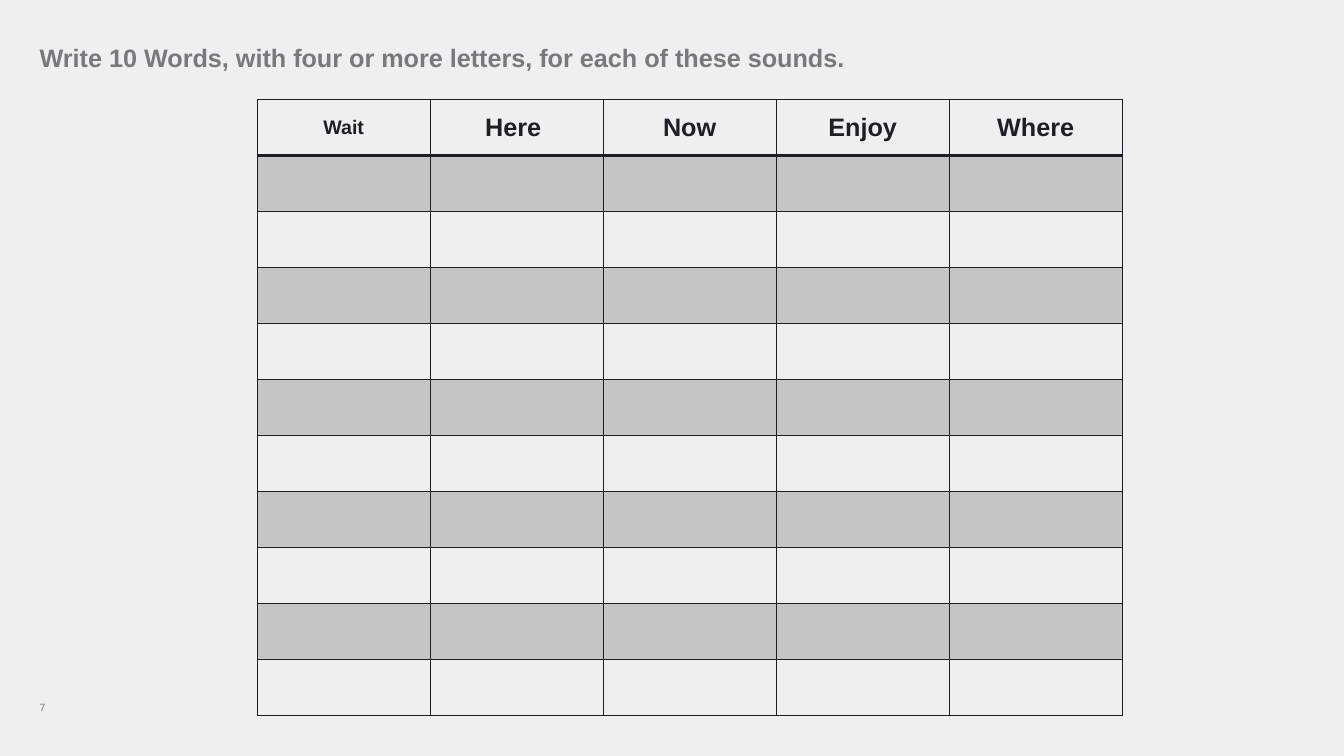
from lxml.etree import SubElement
from pptx import Presentation
from pptx.dml.color import RGBColor
from pptx.enum.text import MSO_ANCHOR, PP_ALIGN
from pptx.oxml.ns import qn
from pptx.util import Cm, Pt

PAPER = RGBColor(0xEE, 0xEF, 0xEE)
GREY = RGBColor(0x7A, 0x77, 0x7E)
INK = RGBColor(0x20, 0x1D, 0x28)
RULE = RGBColor(0x21, 0x1D, 0x28)

SOUNDS = [("Wait", 14), ("Here ", 18), ("Now", 18), ("Enjoy", 18), ("Where", 18)]
WORDS_PER_SOUND = 10
COLUMN_WIDTH, ROW_HEIGHT = 4.36, 1.41
BAND_OPACITY = 20


class Worksheet:
    """Holds the style and the current slide."""

    font_name = "Arial"

    def __init__(self, slide):
        self.slide = slide
        background = slide.background.fill
        background.solid()
        background.fore_color.rgb = PAPER

    def style_font(self, font, color, **values):
        for key, value in {"name": self.font_name, **values}.items():
            setattr(font, key, value)
        font.color.rgb = color

    def add_text(self, text, left, top, width, height, line_spacing=1.0, **values):
        box = self.slide.shapes.add_textbox(Cm(left), Cm(top), Cm(width), Cm(height))
        frame_format = {
            "word_wrap": True, "vertical_anchor": MSO_ANCHOR.MIDDLE,
            "margin_left": 0, "margin_right": 0, "margin_top": 0, "margin_bottom": 0,
        }
        for key, value in frame_format.items():
            setattr(box.text_frame, key, value)
        paragraph = box.text_frame.paragraphs[0]
        paragraph.line_spacing = line_spacing
        run = paragraph.add_run()
        run.text = text
        self.style_font(run.font, GREY, **values)

    def add_borders(self, cell, **widths):
        properties = cell._tc.get_or_add_tcPr()
        for side, points in widths.items():
            line = SubElement(properties, qn(f"a:ln{side}"), w=str(Pt(points)))
            solid = SubElement(line, qn("a:solidFill"))
            SubElement(solid, qn("a:srgbClr"), val=str(RULE))

    def shade(self, cell, opacity):
        cell.fill.solid()
        cell.fill.fore_color.rgb = RULE
        color = cell._tc.tcPr.find(f"{qn('a:solidFill')}/{qn('a:srgbClr')}")
        SubElement(color, qn("a:alpha"), val=str(opacity * 1000))

    def add_heading(self, cell, text, size):
        paragraph = cell.text_frame.paragraphs[0]
        paragraph.alignment = PP_ALIGN.CENTER
        run = paragraph.add_run()
        run.text = text
        self.style_font(run.font, INK, size=Pt(size), bold=True)

    def add_word_grid(self, left, top):
        rows, columns = WORDS_PER_SOUND + 1, len(SOUNDS)
        grid = self.slide.shapes.add_table(
            rows, columns, Cm(left), Cm(top),
            Cm(columns * COLUMN_WIDTH), Cm(rows * ROW_HEIGHT)).table
        grid.first_row = grid.horz_banding = False
        for column in grid.columns:
            column.width = Cm(COLUMN_WIDTH)
        for number, row in enumerate(grid.rows):
            row.height = Cm(ROW_HEIGHT)
            for cell, sound in zip(row.cells, SOUNDS):
                cell.vertical_anchor = MSO_ANCHOR.MIDDLE
                # The rule under the headings is twice as thick
                self.add_borders(cell, L=1, R=1, T=2 if number == 1 else 1,
                                 B=2 if number == 0 else 1)
                if number % 2:
                    self.shade(cell, BAND_OPACITY)
                else:
                    cell.fill.background()
                if number == 0:
                    self.add_heading(cell, *sound)


def main():
    deck = Presentation()
    deck.slide_width, deck.slide_height = Cm(33.87), Cm(19.05)
    sheet = Worksheet(deck.slides.add_slide(deck.slide_layouts[6]))

    # Task
    sheet.add_text("Write 10 Words, with four or more letters, for each of these sounds.",
                   1, 1, 31.83, 1, line_spacing=0.9, size=Pt(18), bold=True)
    # Page number
    sheet.add_text("7", 1, 17.07, 1.5, 1.5, size=Pt(7.5))
    # Sounds and answer spaces
    sheet.add_word_grid(6.48, 2.51)

    deck.save("out.pptx")


if __name__ == "__main__":
    main()
